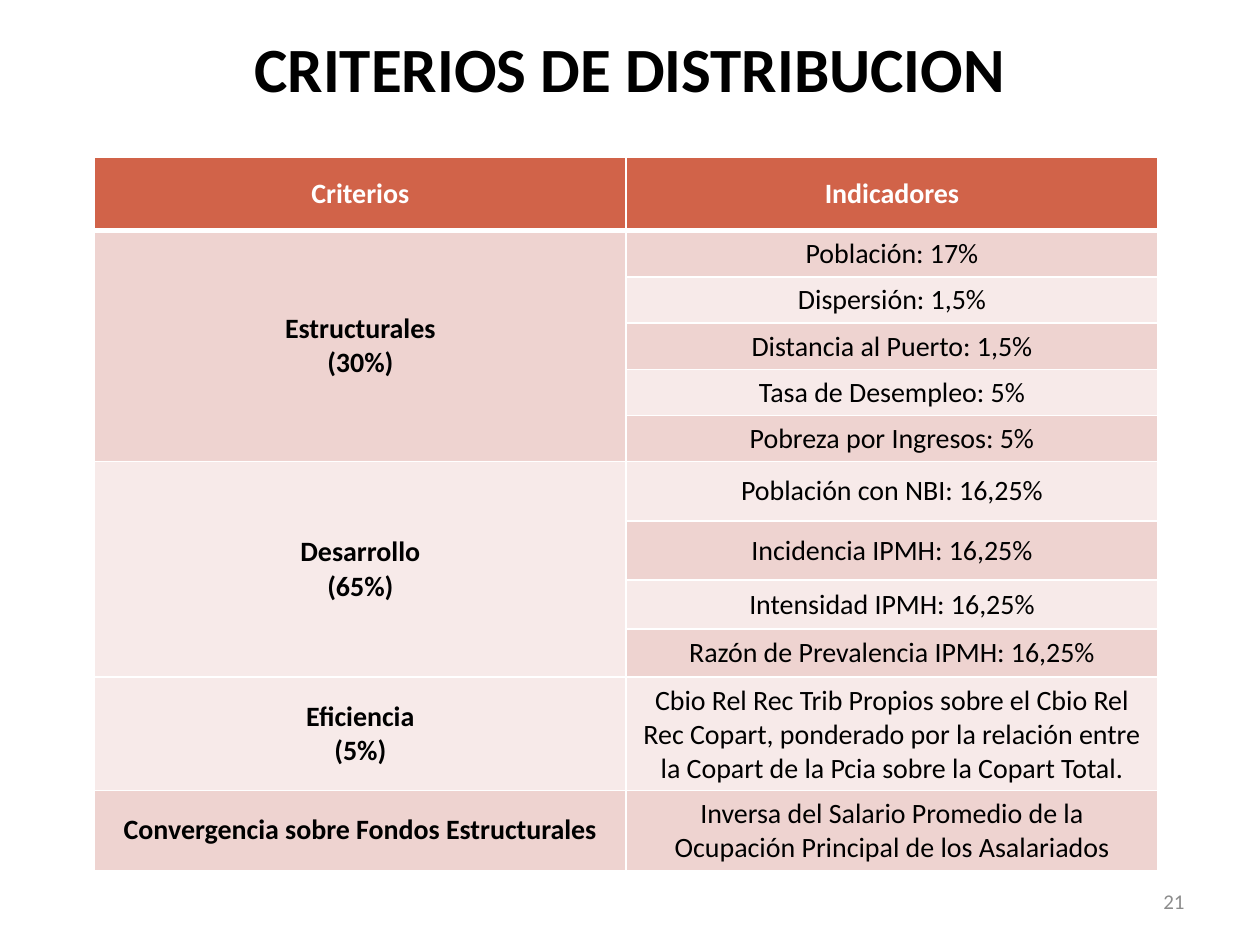
from lxml.etree import SubElement
from pptx import Presentation
from pptx.dml.color import RGBColor
from pptx.enum.text import MSO_ANCHOR, PP_ALIGN
from pptx.oxml.ns import qn
from pptx.util import Inches, Pt

BLACK = RGBColor(0x00, 0x00, 0x00)
WHITE = RGBColor(0xFF, 0xFF, 0xFF)
GRAY = RGBColor(0x8C, 0x8C, 0x8C)
HEADER_RED = RGBColor(0xD1, 0x63, 0x49)
BAND_DARK = RGBColor(0xEE, 0xD3, 0xD0)
BAND_LIGHT = RGBColor(0xF7, 0xEA, 0xE9)

HEADINGS = ("Criterios", "Indicadores")
HEADER_HEIGHT = 0.58
COLUMN_WIDTH = 4.22

# Each criterion with its indicators and their row heights
CRITERIA = [
    ("Estructurales\n(30%)", [
        ("Población: 17%", 0.34),
        ("Dispersión: 1,5%", 0.34),
        ("Distancia al Puerto: 1,5%", 0.34),
        ("Tasa de Desempleo: 5%", 0.34),
        ("Pobreza por Ingresos: 5%", 0.34),
    ]),
    ("Desarrollo\n(65%)", [
        ("Población con NBI: 16,25%", 0.47),
        ("Incidencia IPMH: 16,25%", 0.47),
        ("Intensidad IPMH: 16,25%", 0.39),
        ("Razón de Prevalencia IPMH: 16,25%", 0.38),
    ]),
    ("Eficiencia\n(5%)", [
        ("Cbio Rel Rec Trib Propios sobre el Cbio Rel Rec Copart, ponderado "
         "por la relación entre la Copart de la Pcia sobre la Copart Total.", 0.57),
    ]),
    ("Convergencia sobre Fondos Estructurales", [
        ("Inversa del Salario Promedio de la Ocupación Principal "
         "de los Asalariados", 0.57),
    ]),
]


def write_text(frame, text, color, size, bold=False, align=PP_ALIGN.CENTER):
    frame.text = text
    frame.word_wrap = True
    font_format = {"name": "Calibri", "size": Pt(size), "bold": bold}
    for paragraph in frame.paragraphs:
        paragraph.alignment = align
        for run in paragraph.runs:
            for attribute, value in font_format.items():
                setattr(run.font, attribute, value)
            run.font.color.rgb = color


def add_label(slide, left, top, width, height, text, color, size, **text_format):
    label = slide.shapes.add_textbox(
        Inches(left), Inches(top), Inches(width), Inches(height))
    label.text_frame.vertical_anchor = MSO_ANCHOR.MIDDLE
    write_text(label.text_frame, text, color, size, **text_format)


def style_cell(cell, fill_color, bottom_width=1):
    cell.vertical_anchor = MSO_ANCHOR.MIDDLE
    properties = cell._tc.get_or_add_tcPr()
    # Borders come before the fill in the cell properties
    widths = {"a:lnL": 1, "a:lnR": 1, "a:lnT": 1, "a:lnB": bottom_width}
    for side, width in widths.items():
        border = SubElement(properties, qn(side), w=str(Pt(width)))
        border_fill = SubElement(border, qn("a:solidFill"))
        SubElement(border_fill, qn("a:srgbClr"), val=str(WHITE))
    cell.fill.solid()
    cell.fill.fore_color.rgb = fill_color


def add_criteria_table(slide, left, top):
    indicators = [item for _, items in CRITERIA for item in items]
    heights = [HEADER_HEIGHT] + [height for _, height in indicators]
    table = slide.shapes.add_table(
        len(heights), len(HEADINGS), Inches(left), Inches(top),
        Inches(COLUMN_WIDTH * len(HEADINGS)), Inches(sum(heights))).table
    for column in table.columns:
        column.width = Inches(COLUMN_WIDTH)
    for row, height in zip(table.rows, heights):
        row.height = Inches(height)

    # Header row
    for column_index, heading in enumerate(HEADINGS):
        header = table.cell(0, column_index)
        write_text(header.text_frame, heading, WHITE, 16, bold=True)
        style_cell(header, HEADER_RED, bottom_width=3)

    # Criteria on the left, banded indicators on the right
    first_row = 1
    for criterion, items in CRITERIA:
        for row_index, (indicator, _) in enumerate(items, first_row):
            band = BAND_DARK if row_index % 2 else BAND_LIGHT
            for column_index in range(len(HEADINGS)):
                style_cell(table.cell(row_index, column_index), band)
            write_text(table.cell(row_index, 1).text_frame, indicator, BLACK, 16)
        criterion_cell = table.cell(first_row, 0)
        last_row = first_row + len(items) - 1
        if last_row > first_row:
            criterion_cell.merge(table.cell(last_row, 0))
        write_text(criterion_cell.text_frame, criterion, BLACK, 16, bold=True)
        first_row = last_row + 1


def main():
    presentation = Presentation()
    presentation.slide_width = Inches(10)
    presentation.slide_height = Inches(7.5)
    slide = presentation.slides.add_slide(presentation.slide_layouts[6])

    # Page number, table and title
    add_label(slide, 7.17, 6.95, 2.33, 0.4, "21", GRAY, 12, align=PP_ALIGN.RIGHT)
    add_criteria_table(slide, 0.75, 1.25)
    add_label(slide, 0, 0, 10, 1.07, "CRITERIOS DE DISTRIBUCION", BLACK, 36, bold=True)

    presentation.save("out.pptx")


if __name__ == "__main__":
    main()
